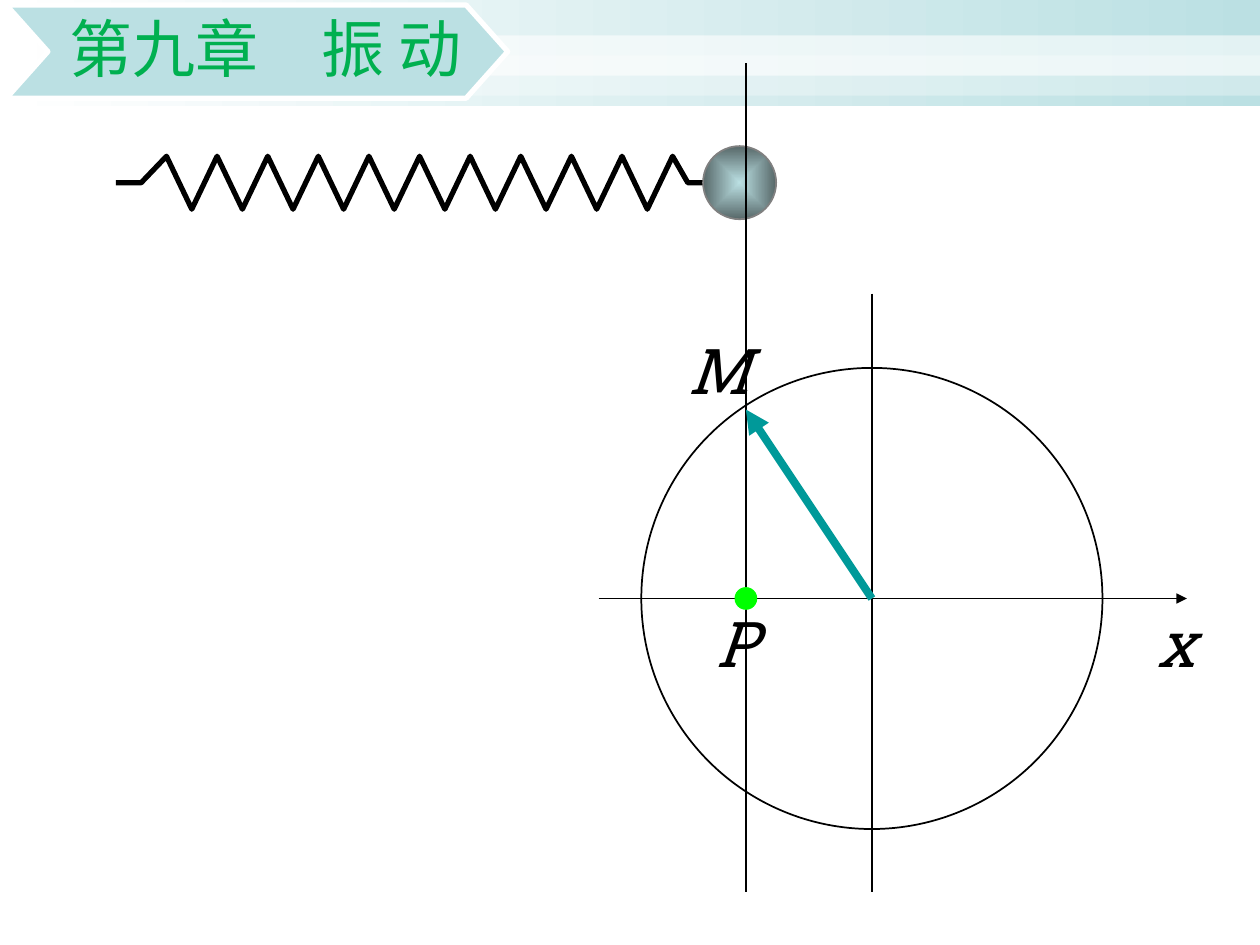
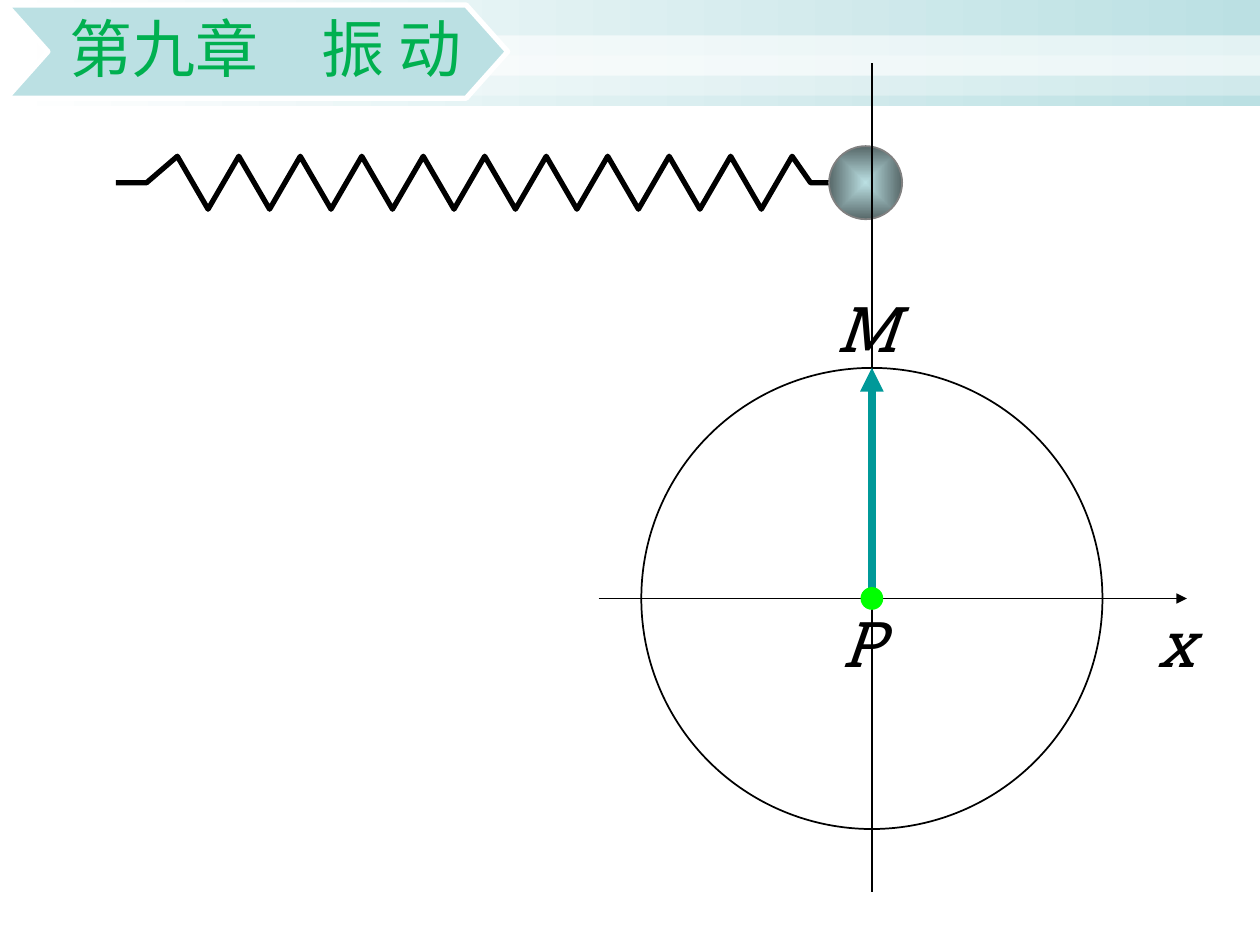
"""Build two slides that link a spring oscillator to its rotating vector."""
from lxml import etree
from pptx import Presentation
from pptx.dml.color import RGBColor
from pptx.enum import shapes, text
from pptx.oxml import ns
from pptx.util import Inches, Pt


class Theme:
    black = "000000"
    white = "FFFFFF"
    pale = "BBE0E3"
    dark = "576869"
    grey = "808080"
    teal = "009999"
    lime = "00FF00"
    green = "00B050"
    head = "Calibri"
    math = "Roboto Slab"
    size = Pt(36)
    thin, bold, thick = 1, 3, 4.5


def style(item, fill=None, line=None, width=1):
    item.shadow.inherit = False
    if isinstance(fill, tuple):
        item.fill.gradient()
        item.fill.gradient_angle = 0
        for stop, hue in zip(item.fill.gradient_stops, fill):
            stop.color.rgb = RGBColor.from_string(hue)
    elif fill:
        item.fill.solid()
        item.fill.fore_color.rgb = RGBColor.from_string(fill)
    else:
        item.fill.background()
    if line:
        item.line.color.rgb = RGBColor.from_string(line)
        item.line.width = Pt(width)
    else:
        item.line.fill.background()
    return item


def wire(slide, start, end, hue=Theme.black, width=Theme.thin, arrow=False):
    ends = [Inches(v) for v in start + end]
    line = slide.shapes.add_connector(shapes.MSO_CONNECTOR.STRAIGHT, *ends)
    line.line.color.rgb = RGBColor.from_string(hue)
    line.line.width = Pt(width)
    if arrow:
        etree.SubElement(line.line._get_or_add_ln(), ns.qn("a:tailEnd"), type="triangle")
    etree.SubElement(line._element.spPr, ns.qn("a:effectLst"))


rect, oval = shapes.MSO_SHAPE.RECTANGLE, shapes.MSO_SHAPE.OVAL
mid_x, mid_y, rad = 6.92, 4.75, 1.83
wall, rest, amp = 0.92, 1.45, 0.21
ball, dot = 0.58, 0.17
top, low = 0.5, 7.08
bands = [
    (0, 0.84, (Theme.white, Theme.pale), None),
    (0.28, 0.32, Theme.white, 60),
    (0.44, 0.32, Theme.white, 31),
]
flag = [(0.05, 0.04), (3.7, 0.04), (4.03, 0.41), (3.7, 0.78), (0.05, 0.78), (0.38, 0.41)]
states = [
    {"x": 5.92, "tip": 3.25, "mark": (5.37, 2.58), "bars": [(top, low)]},
    {"x": mid_x, "tip": mid_y - rad, "mark": (6.54, 2.25), "bars": [(0.82, 1.91), (top, low)]},
]

deck = Presentation()
deck.slide_width, deck.slide_height = Inches(10), Inches(7.5)

for state in states:
    slide = deck.slides.add_slide(deck.slide_layouts[6])
    x = state["x"]

    for y, high, fill, alpha in bands:
        band = slide.shapes.add_shape(rect, 0, Inches(y), Inches(10), Inches(high))
        style(band, fill)
        if alpha:
            hue = band._element.spPr.find(".//" + ns.qn("a:srgbClr"))
            etree.SubElement(hue, ns.qn("a:alpha"), val=str(alpha * 1000))

    end = x - 0.34
    step = (end - wall) / 23.2
    coil = [(wall, rest), (wall + step, rest)]
    coil += [(wall + n * step, rest + (amp if n % 2 else -amp)) for n in range(2, 23)]
    coil += [(wall + 22.6 * step, rest), (end, rest)]
    pen = slide.shapes.build_freeform(Inches(coil[0][0]), Inches(coil[0][1]))
    pen.add_line_segments([(Inches(a), Inches(b)) for a, b in coil[1:]], close=False)
    style(pen.convert_to_shape(), None, Theme.black, Theme.bold)

    disc = slide.shapes.add_shape(
        oval, Inches(end), Inches(rest - ball / 2), Inches(ball), Inches(ball))
    style(disc, (Theme.pale, Theme.dark), Theme.grey)
    grad = disc._element.spPr.find(ns.qn("a:gradFill"))
    grad.remove(grad.find(ns.qn("a:lin")))
    path = etree.SubElement(grad, ns.qn("a:path"), path="rect")
    etree.SubElement(path, ns.qn("a:fillToRect"), l="50000", t="50000", r="50000", b="50000")

    ring = slide.shapes.add_shape(
        oval, Inches(mid_x - rad), Inches(mid_y - rad), Inches(2 * rad), Inches(2 * rad))
    style(ring, None, Theme.black)
    wire(slide, (4.75, mid_y), (9.42, mid_y), arrow=True)
    wire(slide, (mid_x, 2.33), (mid_x, low))
    for y1, y2 in state["bars"]:
        wire(slide, (x, y1), (x, y2))
    wire(slide, (mid_x, mid_y), (x, state["tip"]), Theme.teal, Theme.thick, True)

    marks = [("x", 9.09, mid_y, 0.47), ("M", *state["mark"], 0.63), ("P", x - 0.33, mid_y, 0.5)]
    for name, left, y, wide in marks:
        box = slide.shapes.add_textbox(Inches(left), Inches(y), Inches(wide), Inches(0.7))
        frame = box.text_frame
        frame.text = name
        frame.word_wrap = False
        frame.auto_size = text.MSO_AUTO_SIZE.SHAPE_TO_FIT_TEXT
        font = frame.paragraphs[0].runs[0].font
        font.name, font.size, font.italic = Theme.math, Theme.size, True
        font.color.rgb = RGBColor.from_string(Theme.black)

    point = slide.shapes.add_shape(
        oval, Inches(x - dot / 2), Inches(mid_y - dot / 2), Inches(dot), Inches(dot))
    style(point, Theme.lime, Theme.lime, 0.75)

    pen = slide.shapes.build_freeform(Inches(flag[0][0]), Inches(flag[0][1]))
    pen.add_line_segments([(Inches(a), Inches(b)) for a, b in flag[1:]], close=True)
    title = style(pen.convert_to_shape(), Theme.pale, Theme.white, Theme.bold)
    frame = title.text_frame
    frame.text = "第九章　振 动"
    frame.word_wrap = True
    frame.vertical_anchor = text.MSO_ANCHOR.MIDDLE
    frame.margin_left, frame.margin_right = Inches(0.42), Inches(0.37)
    frame.margin_top = frame.margin_bottom = Inches(0.03)
    para = frame.paragraphs[0]
    para.alignment = text.PP_ALIGN.RIGHT
    para.line_spacing, para.space_after = 0.9, Pt(15.8)
    font = para.runs[0].font
    font.name, font.size = Theme.head, Theme.size
    font.color.rgb = RGBColor.from_string(Theme.green)

deck.save("out.pptx")
